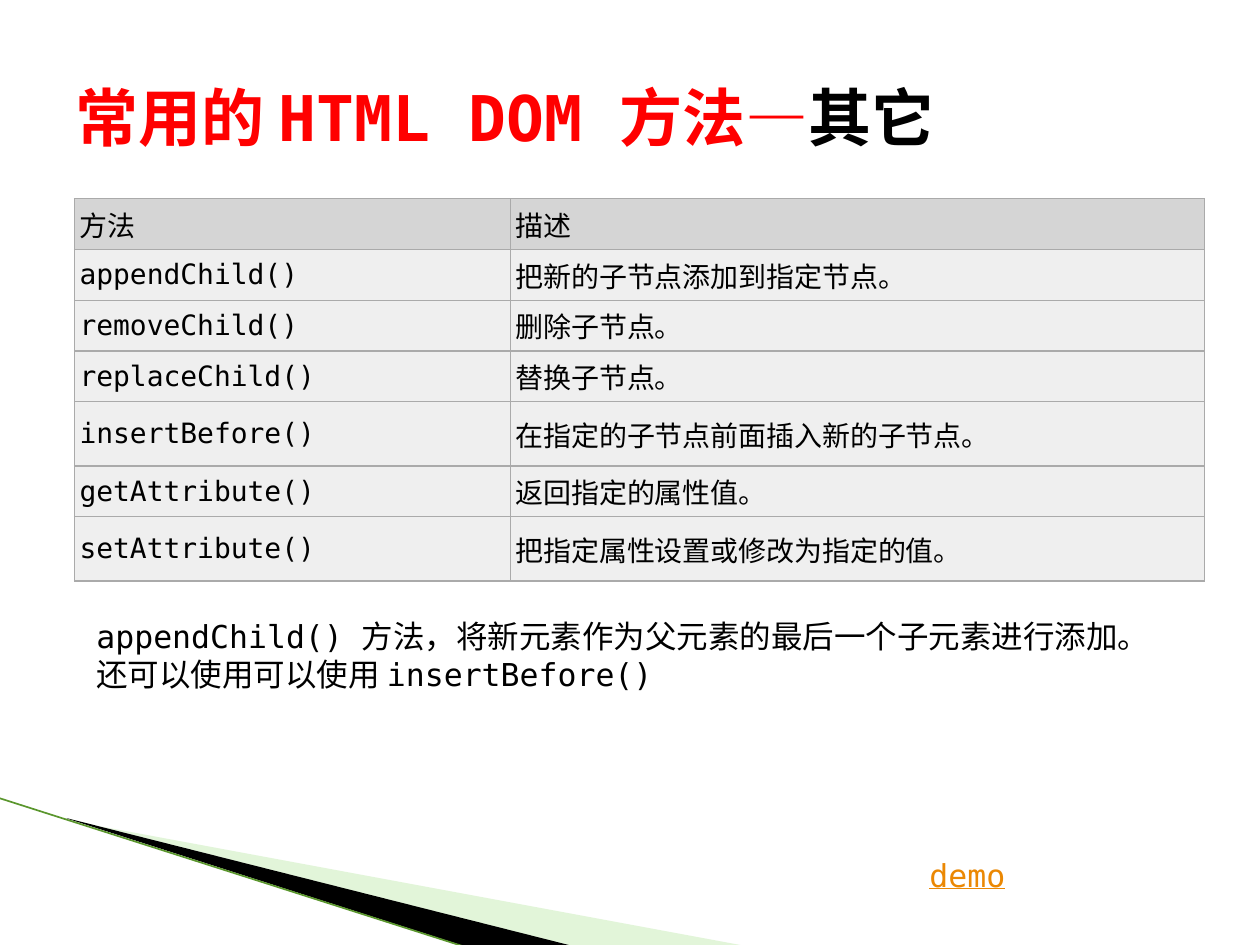
from lxml.etree import SubElement as Sub
from pptx import Presentation
from pptx.dml.color import RGBColor as Rgb
from pptx.enum.shapes import MSO_CONNECTOR as Conn
from pptx.enum.text import MSO_ANCHOR as Anchor, MSO_AUTO_SIZE as Auto
from pptx.oxml.ns import qn
from pptx.util import Pt

FONT = "DejaVu Sans Mono"
HEX = {
    "black": "000000", "red": "FF0000", "link": "EB8803", "pale": "B8E7A1",
    "edge": "5A962D", "head": "D5D5D5", "body": "EFEFEF", "rule": "AAAAAA",
}
ROWS = [
    ("方法", "描述", 21),
    ("appendChild()", "把新的子节点添加到指定节点。", 21.6),
    ("removeChild()", "删除子节点。", 21.6),
    ("replaceChild()", "替换子节点。", 21.6),
    ("insertBefore()", "在指定的子节点前面插入新的子节点。", 36.7),
    ("getAttribute()", "返回指定的属性值。", 21.6),
    ("setAttribute()", "把指定属性设置或修改为指定的值。", 36.7),
]


def tint(name):
    return Rgb.from_string(HEX[name])


def style(run, size, color="black", bold=False, line=False):
    font = run.font
    font.name, font.size, font.bold = FONT, Pt(size), bold
    font.underline = line
    font.color.rgb = tint(color)


def add_box(slide, box, wrap=True, fit=Auto.NONE):
    frame = slide.shapes.add_textbox(*map(Pt, box)).text_frame
    frame.word_wrap = wrap
    frame.auto_size = fit
    return frame


def add_wedge(slide, left, top, points, color, alpha=100):
    spots = [(Pt(left + x), Pt(top + y)) for x, y in points]
    pen = slide.shapes.build_freeform(*spots[0])
    pen.add_line_segments(spots[1:], close=True)
    wedge = pen.convert_to_shape()
    wedge.shadow.inherit = False
    wedge.line.fill.background()
    wedge.fill.solid()
    wedge.fill.fore_color.rgb = tint(color)
    if alpha < 100:
        fill = wedge.fill.fore_color._xFill
        Sub(fill[0], qn("a:alpha"), val=str(alpha * 1000))


def add_sweep(slide, box):
    left, top, wide, high = box
    add_wedge(slide, left, top,
              [(40, 13), (wide, high - 1), (328.5, high - 1), (40, 12)],
              "pale", 40)
    add_wedge(slide, left, top,
              [(38, 11.5), (329, high - 1), (268, high - 0.5), (39, 12)],
              "black")
    edge = slide.shapes.add_connector(
        Conn.STRAIGHT, Pt(left - 0.7), Pt(top), Pt(left + 267), Pt(top + high - 0.5))
    edge.line.color.rgb = tint("edge")
    edge.line.width = Pt(0.95)
    Sub(edge._element.spPr, qn("a:effectLst"))


def add_title(slide, box):
    frame = add_box(slide, box)
    frame.vertical_anchor = Anchor.MIDDLE
    for text, color in (("常用的 HTML DOM 方法—", "red"), ("其它", "black")):
        run = frame.paragraphs[0].add_run()
        run.text = text
        style(run, 36, color, bold=True)


def set_edges(cell):
    props = cell._tc.get_or_add_tcPr()
    for spot, side in enumerate(("lnL", "lnR", "lnT", "lnB")):
        line = Sub(props, qn("a:" + side), w=str(Pt(0.75)))
        fill = Sub(line, qn("a:solidFill"))
        Sub(fill, qn("a:srgbClr"), val=HEX["rule"])
        props.insert(spot, line)


def add_grid(slide, box):
    table = slide.shapes.add_table(len(ROWS), 2, *map(Pt, box)).table
    split = 249.1
    table.columns[0].width = Pt(split)
    table.columns[1].width = Pt(box[2] - split)
    for i, (name, note, high) in enumerate(ROWS):
        table.rows[i].height = Pt(high)
        for j, text in enumerate((name, note)):
            cell = table.cell(i, j)
            cell.text_frame.text = text
            style(cell.text_frame.paragraphs[0].runs[0], 16)
            cell.vertical_anchor = Anchor.MIDDLE
            cell.margin_left = cell.margin_top = cell.margin_bottom = Pt(3)
            cell.margin_right = Pt(8)
            cell.fill.solid()
            cell.fill.fore_color.rgb = tint("body" if i else "head")
            set_edges(cell)


def add_note(slide, box):
    frame = add_box(slide, box, fit=Auto.SHAPE_TO_FIT_TEXT)
    frame.text = ("appendChild() 方法，将新元素作为父元素的最后一个子元素进行添加。\n"
                  "还可以使用可以使用 insertBefore()")
    for para in frame.paragraphs:
        style(para.runs[0], 18)


def add_demo(slide, box):
    frame = add_box(slide, box, wrap=False, fit=Auto.SHAPE_TO_FIT_TEXT)
    frame.text = "demo"
    style(frame.paragraphs[0].runs[0], 18, "link", line=True)


def main():
    deck = Presentation()
    deck.slide_width, deck.slide_height = Pt(720), Pt(540)
    slide = deck.slides.add_slide(deck.slide_layouts[6])
    add_sweep(slide, (0, 456, 428.5, 86))
    add_grid(slide, (42.5, 113.5, 646, 180.8))
    add_title(slide, (36, 21.6, 648, 90))
    add_note(slide, (48, 349, 641, 73))
    add_demo(slide, (524, 485.5, 64, 29))
    deck.save("out.pptx")


if __name__ == "__main__":
    main()
